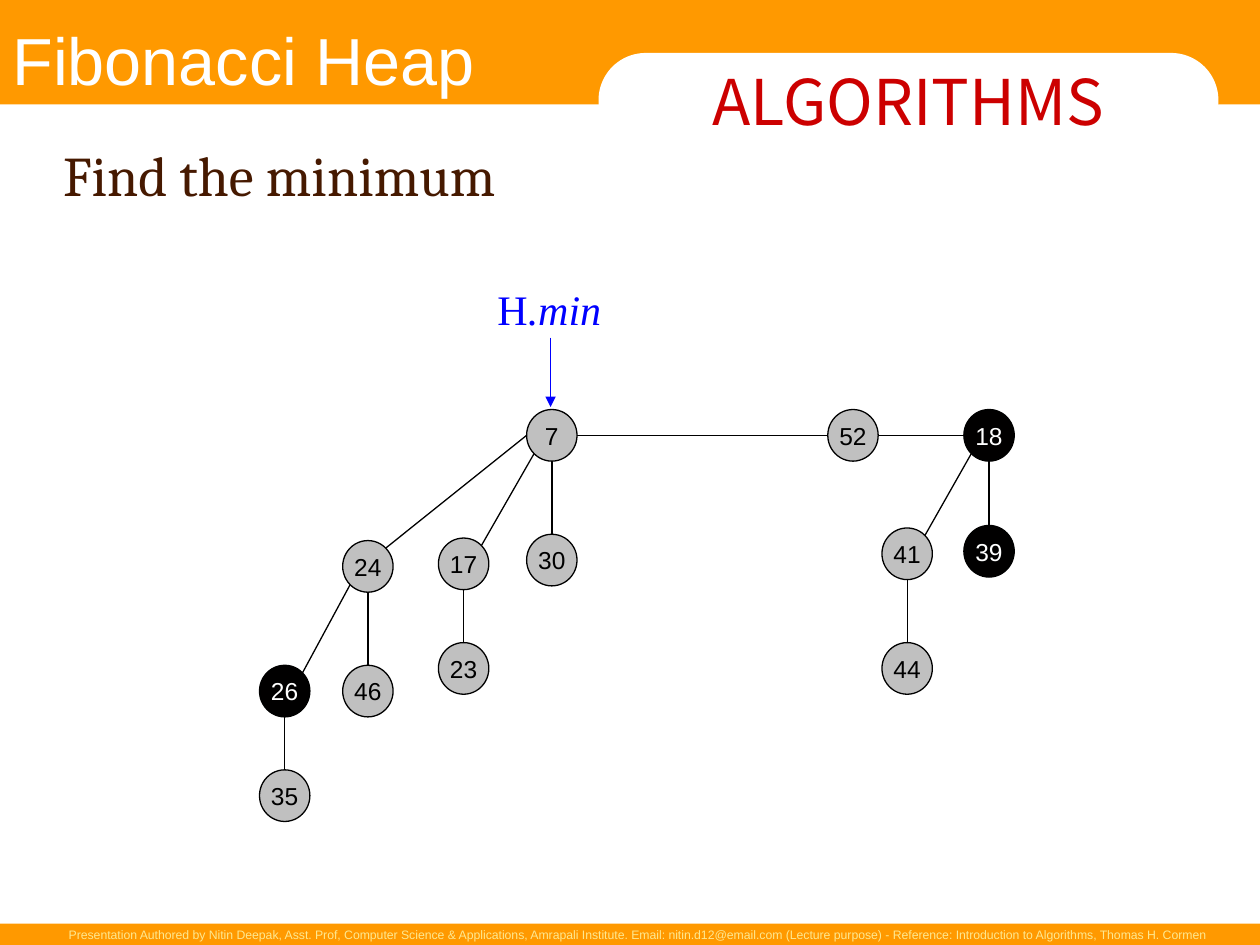
from dataclasses import dataclass

from lxml import etree
from pptx import Presentation
from pptx.dml.color import RGBColor
from pptx.enum.shapes import MSO_CONNECTOR, MSO_SHAPE
from pptx.enum.text import MSO_ANCHOR, MSO_AUTO_SIZE, PP_ALIGN
from pptx.oxml.ns import qn
from pptx.util import Inches, Pt

STRAIGHT = MSO_CONNECTOR.STRAIGHT
RECTANGLE, ROUNDED, OVAL = MSO_SHAPE.RECTANGLE, MSO_SHAPE.ROUNDED_RECTANGLE, MSO_SHAPE.OVAL
TOP, MIDDLE = MSO_ANCHOR.TOP, MSO_ANCHOR.MIDDLE
LEFT, CENTER, RIGHT = PP_ALIGN.LEFT, PP_ALIGN.CENTER, PP_ALIGN.RIGHT
GROW = MSO_AUTO_SIZE.SHAPE_TO_FIT_TEXT


@dataclass(frozen=True)
class Theme:
    orange: str = "FF9900"
    white: str = "FFFFFF"
    black: str = "000000"
    marked: str = "010000"
    gray: str = "C0C0C0"
    red: str = "CC0000"
    brown: str = "461900"
    blue: str = "0000FF"
    cream: str = "FDE891"
    header_size: int = 38
    badge_size: int = 36
    title_size: int = 32
    label_size: int = 24
    node_size: int = 14
    footer_size: int = 7
    line_width: float = 0.75


theme = Theme()


def write_text(shape, texts, size, font, color, align=LEFT, anchor=MIDDLE, wrap=False):
    frame = shape.text_frame
    frame.word_wrap = wrap
    frame.vertical_anchor = anchor
    paragraph = frame.paragraphs[0]
    paragraph.alignment = align
    for text in texts:
        run = paragraph.add_run()
        run.text = text
        run.font.size = Pt(size)
        run.font.name = font
        run.font.color.rgb = RGBColor.from_string(color)
    return paragraph


def add_line(start, end, color):
    line = slide.shapes.add_connector(STRAIGHT, *(Inches(value) for value in (*start, *end)))
    line.line.color.rgb = RGBColor.from_string(color)
    line.line.width = Pt(theme.line_width)
    etree.SubElement(line._element.spPr, qn("a:effectLst"))
    return line


presentation = Presentation()
presentation.slide_width = Inches(10)
presentation.slide_height = Inches(7.5)
slide = presentation.slides.add_slide(presentation.slide_layouts[6])

# Header band, rounded badge and footer band
bands = [
    (RECTANGLE, (0, 0, 10, 0.83), theme.orange),
    (ROUNDED, (4.75, 0.42, 4.92, 0.75), theme.white),
    (RECTANGLE, (0, 7.33, 10, 0.17), theme.orange),
]
for kind, box, color in bands:
    band = slide.shapes.add_shape(kind, *(Inches(value) for value in box))
    band.shadow.inherit = False
    band.fill.solid()
    band.fill.fore_color.rgb = RGBColor.from_string(color)
    band.line.fill.background()
    if kind == ROUNDED:
        band.adjustments[0] = 0.5
        write_text(band, ["ALGORITHMS"], theme.badge_size, "Noto Sans CJK KR", theme.red, CENTER)

# Footer credit
footer = slide.shapes.add_textbox(Inches(0.42), Inches(7.31), Inches(9.25), Inches(0.22))
footer.text_frame.auto_size = GROW
credit = (
    "Presentation Authored by Nitin Deepak, Asst. Prof, Computer Science & Applications, "
    "Amrapali Institute. Email: nitin.d12@email.com (Lecture purpose) - "
    "Reference: Introduction to Algorithms, Thomas H. Cormen"
)
write_text(footer, [credit], theme.footer_size, "Arial", theme.cream, RIGHT, TOP)

# Header and slide title
headings = [
    ("Fibonacci Heap", (0.1, 0.1, 4.2, 0.74), theme.header_size, "Arial", theme.white),
    ("Find the minimum", (0.5, 1.01, 8.99, 0.74), theme.title_size, "Cambria", theme.brown),
]
for text, box, size, font, color in headings:
    heading = slide.shapes.add_textbox(*(Inches(value) for value in box))
    frame = heading.text_frame
    frame.margin_left = frame.margin_right = frame.margin_top = frame.margin_bottom = 0
    write_text(heading, [text], size, font, color, wrap=True)

# Pointer to the minimum
pointer = slide.shapes.add_textbox(Inches(3.85), Inches(2.2), Inches(1.04), Inches(0.5))
pointer.text_frame.auto_size = GROW
label = write_text(
    pointer, ["H", ".min"], theme.label_size, "Times New Roman", theme.blue, anchor=TOP)
label.runs[1].font.italic = True
arrow = add_line((4.37, 2.68), (4.37, 3.23), theme.blue)
etree.SubElement(arrow.line._get_or_add_ln(), qn("a:tailEnd"), type="triangle")

# Heap nodes: key -> left and top
node_width, node_height = 0.4, 0.41
nodes = {
    7: (4.18, 3.25), 52: (6.57, 3.25), 18: (7.65, 3.25),
    24: (2.72, 4.29), 17: (3.48, 4.27), 30: (4.18, 4.24),
    41: (7, 4.19), 39: (7.65, 4.17),
    26: (2.06, 5.28), 46: (2.72, 5.28), 23: (3.48, 5.1), 44: (7, 5.1),
    35: (2.06, 6.11),
}
marked_keys = {18, 26, 39}

# Points on a node's outline, as shares of its width and height
sites = {
    "top": (0.5, 0), "bottom": (0.5, 1), "left": (0, 0.5), "right": (1, 0.5),
    "top right": (0.85, 0.15), "bottom left": (0.15, 0.85),
}

# Edges: root list first, then parent to child
edges = [
    (7, "right", 52, "left"), (52, "right", 18, "left"),
    (7, "left", 24, "top right"), (7, "bottom left", 17, "top right"),
    (7, "bottom", 30, "top"), (18, "bottom left", 41, "top right"),
    (18, "bottom", 39, "top"), (24, "bottom left", 26, "top right"),
    (24, "bottom", 46, "top"), (17, "bottom", 23, "top"),
    (41, "bottom", 44, "top"), (26, "bottom", 35, "top"),
]
for first, first_site, second, second_site in edges:
    start, end = (
        (nodes[key][0] + sites[site][0] * node_width, nodes[key][1] + sites[site][1] * node_height)
        for key, site in ((first, first_site), (second, second_site))
    )
    add_line(start, end, theme.black)

for key, (left, top) in nodes.items():
    is_marked = key in marked_keys
    node = slide.shapes.add_shape(
        OVAL, Inches(left), Inches(top), Inches(node_width), Inches(node_height))
    node.shadow.inherit = False
    node.fill.solid()
    node.fill.fore_color.rgb = RGBColor.from_string(theme.marked if is_marked else theme.gray)
    node.line.color.rgb = RGBColor.from_string(theme.black)
    node.line.width = Pt(theme.line_width)
    write_text(node, [str(key)], theme.node_size, "Arial",
               theme.white if is_marked else theme.black, CENTER)

presentation.save("out.pptx")
